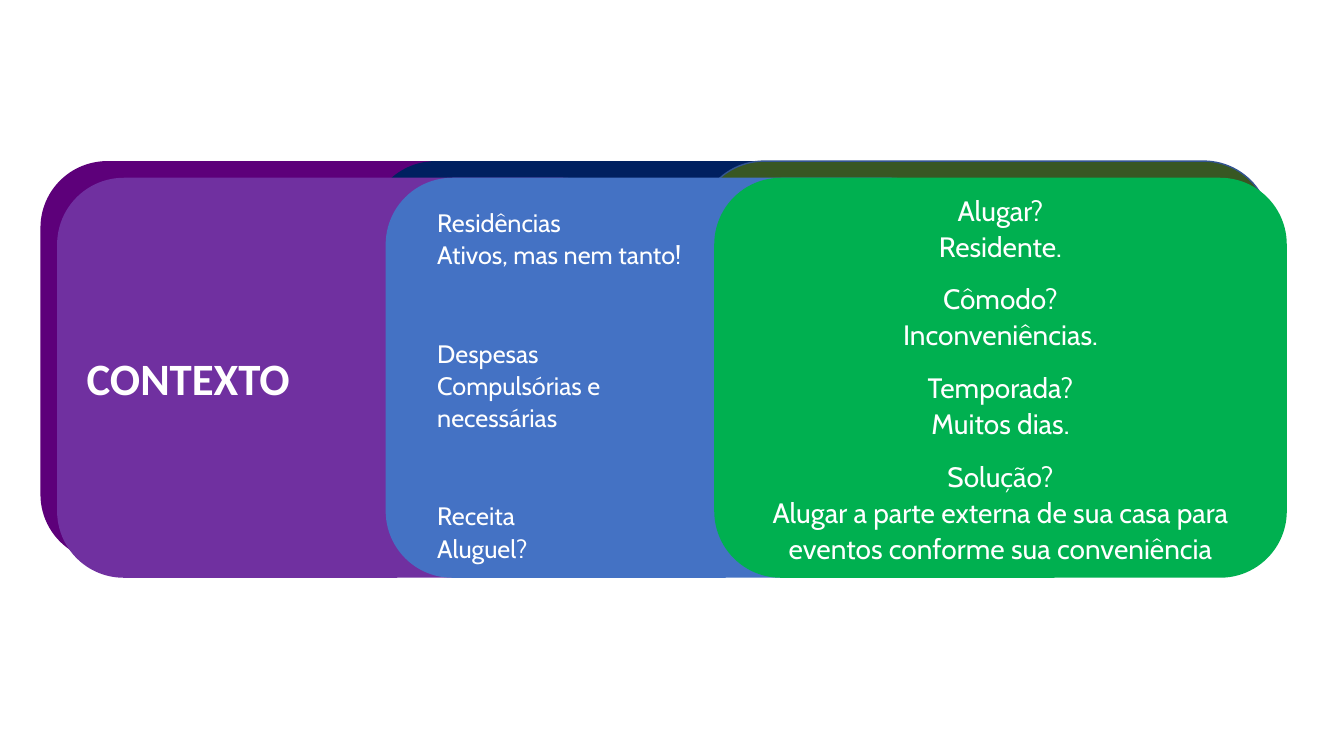
"""Builds the context slide: three overlapping panels with text."""
from dataclasses import dataclass

from pptx import Presentation
from pptx.dml.color import RGBColor
from pptx.enum.shapes import MSO_SHAPE as Shape
from pptx.enum.text import MSO_ANCHOR as Anchor, PP_ALIGN as Align
from pptx.util import Cm, Pt


@dataclass(frozen=True)
class Theme:
    """Colours, fonts and type sizes of the slide."""
    back_fills: tuple = ("5D007A", "002060", "385723")
    front_fills: tuple = ("7030A0", "4472C4", "00B050")
    outline: str = "325491"
    text: str = "FFFFFF"
    title_font: str = "Calibri"
    body_font: str = "Cabin"
    title_size: int = 32
    answer_size: int = 20
    body_size: int = 18
    line_spacing: float = 1.07


class ContextSlide:
    """Draws styled elements on the current slide."""

    def __init__(self, slide, theme):
        """Keep the slide and its theme."""
        self.slide = slide
        self.theme = theme

    def panel(self, left, top, fill, outline=None):
        """Add one rounded panel."""
        panel = self.slide.shapes.add_shape(
            Shape.ROUNDED_RECTANGLE, Cm(left), Cm(top), Cm(14.43), Cm(10.08))
        panel.shadow.inherit = False
        panel.fill.solid()
        panel.fill.fore_color.rgb = RGBColor.from_string(fill)
        if outline:
            panel.line.color.rgb = RGBColor.from_string(outline)
            panel.line.width = Pt(1)
        else:
            panel.line.fill.background()
        return panel

    def panel_row(self, left, top, fills, last_outline=None):
        """Add a row of overlapping panels."""
        outlines = (None, None, last_outline)
        return [self.panel(left + 8.28 * column, top, fill, outline)
                for column, (fill, outline) in enumerate(zip(fills, outlines))]

    def text_box(self, left, top, width, height):
        """Add an empty text box."""
        return self.slide.shapes.add_textbox(
            Cm(left), Cm(top), Cm(width), Cm(height))

    def set_text(self, holder, paragraphs, size, font=None, align=Align.LEFT,
                 anchor=Anchor.MIDDLE, bold=False, spacing=1.0, after=0):
        """Fill a shape with styled paragraphs."""
        frame = holder.text_frame
        frame.word_wrap = True
        frame.vertical_anchor = anchor
        frame.text = "\n".join(paragraphs)
        for paragraph in frame.paragraphs:
            paragraph.alignment = align
            paragraph.line_spacing = spacing
            paragraph.space_after = Pt(after)
            paragraph.font.name = font or self.theme.body_font
            paragraph.font.size = Pt(size)
            paragraph.font.bold = bold
            paragraph.font.color.rgb = RGBColor.from_string(self.theme.text)


def main():
    """Build and save the slide."""
    theme = Theme()
    deck = Presentation()
    deck.slide_width, deck.slide_height = Cm(33.87), Cm(19.05)
    context = ContextSlide(deck.slides.add_slide(deck.slide_layouts[6]), theme)

    context.panel_row(1.02, 4.06, theme.back_fills, theme.outline)
    title, _, answers = context.panel_row(1.44, 4.48, theme.front_fills)

    context.set_text(title, ["CONTEXTO"], theme.title_size,
                     font=theme.title_font, bold=True)
    context.set_text(
        answers,
        ["Alugar?\vResidente.",
         "Cômodo?\vInconveniências.",
         "Temporada?\vMuitos dias.",
         "Solução?\vAlugar a parte externa de sua casa para eventos "
         "conforme sua conveniência"],
        theme.answer_size, align=Align.CENTER,
        spacing=theme.line_spacing, after=12)
    context.set_text(
        context.text_box(10.77, 5.05, 7.49, 9.32),
        ["Residências\vAtivos, mas nem tanto!",
         "Despesas\vCompulsórias e necessárias",
         "Receita\vAluguel?"],
        theme.body_size, anchor=Anchor.TOP,
        spacing=theme.line_spacing, after=47)

    deck.save("out.pptx")


if __name__ == "__main__":
    main()
